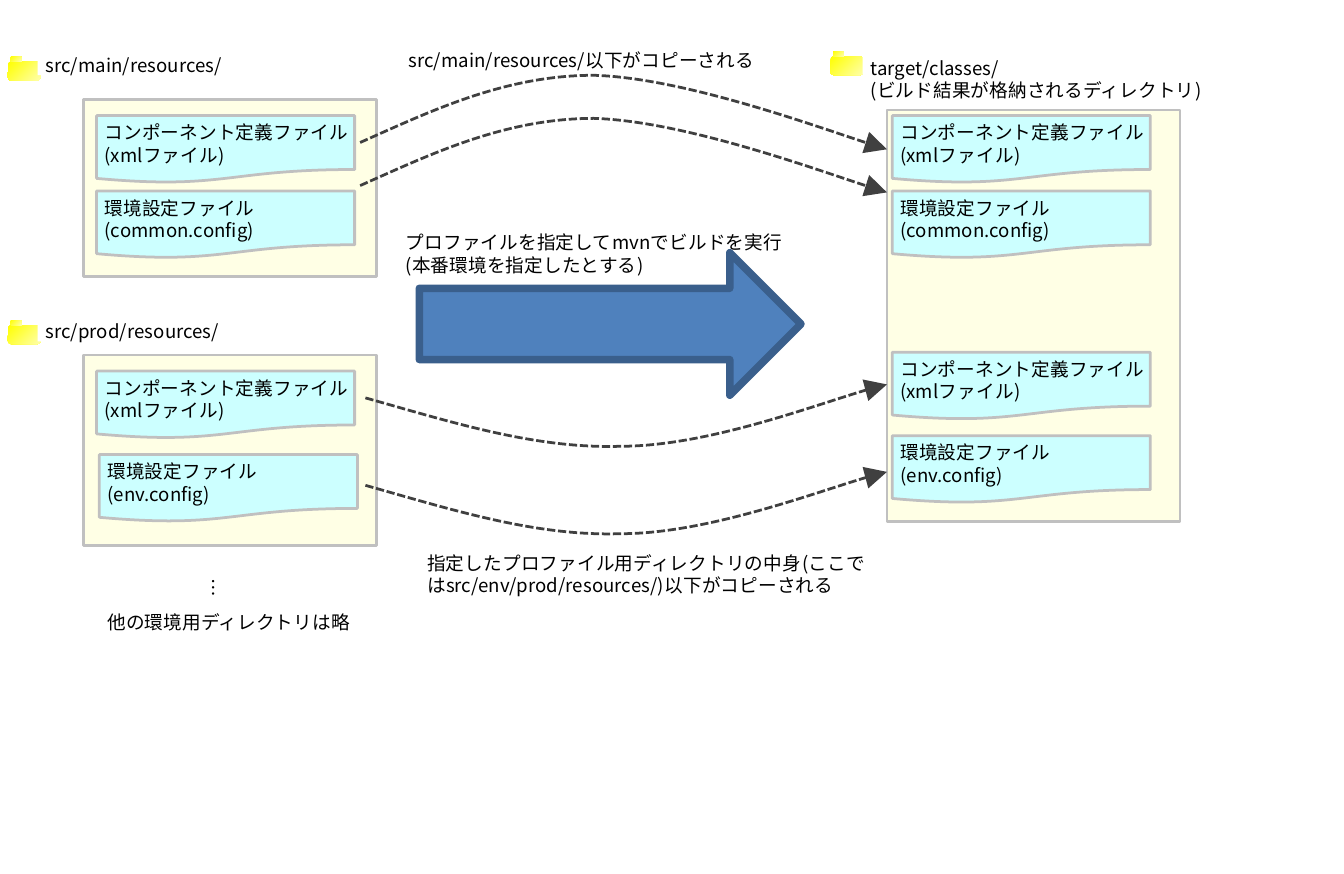
import dataclasses

import pptx
import pptx.util
from lxml import etree
from pptx.dml.color import RGBColor
from pptx.enum.dml import MSO_LINE
from pptx.enum.shapes import MSO_SHAPE
from pptx.enum.text import MSO_ANCHOR, PP_ALIGN
from pptx.oxml.ns import qn

COLUMNS, ROWS = 500, 325  # grid of the slide, 100 cells to the inch


@dataclasses.dataclass(frozen=True)
class Theme:
    font: str = "Noto Sans CJK JP"
    text_size: float = 5
    line_pitch: float = 6
    thin: float = 0.75
    thick: float = 2
    ink: str = "000000"
    paper: str = "FFFFFF"
    directory: str = "FFFFE5"
    document: str = "CCFFFF"
    border: str = "C0C0C0"
    build: str = "4F81BD"
    build_border: str = "3A5F8C"
    copy_line: str = "404040"
    folder: tuple = ("FFFF00", "FFFFA9")


class Diagram:
    def __init__(self, deck, page, theme):
        self.page, self.theme = page, theme
        self.cell_width = deck.slide_width / COLUMNS
        self.cell_height = deck.slide_height / ROWS

    def place(self, column, row):
        return round(column * self.cell_width), round(row * self.cell_height)

    def shape(self, kind, area, fill=None, border=None, weight=None):
        shape = self.page.shapes.add_shape(kind, *self.place(*area[:2]), *self.place(*area[2:]))
        shape.shadow.inherit = False
        if fill:
            shape.fill.solid()
            shape.fill.fore_color.rgb = RGBColor.from_string(fill)
        if border:
            shape.line.color.rgb = RGBColor.from_string(border)
            shape.line.width = pptx.util.Pt(weight or self.theme.thin)
        else:
            shape.line.fill.background()
        return shape

    def add_lines(self, box, lines, right_inset=3):
        frame = box.text_frame
        frame.word_wrap = True
        frame.vertical_anchor = MSO_ANCHOR.TOP
        frame.margin_left, frame.margin_top = self.place(3, 2)
        frame.margin_right, frame.margin_bottom = self.place(right_inset, 0)
        for index, line in enumerate(lines):
            para = frame.add_paragraph() if index else frame.paragraphs[0]
            para.alignment = PP_ALIGN.LEFT
            para.line_spacing = pptx.util.Pt(self.theme.line_pitch)
            span = para.add_run()
            span.text = line
            span.font.name = self.theme.font
            span.font.size = pptx.util.Pt(self.theme.text_size)
            span.font.color.rgb = RGBColor.from_string(self.theme.ink)
            east_asian = etree.SubElement(span.font._element, qn("a:ea"))
            east_asian.set("typeface", self.theme.font)

    def label(self, area, *lines, vertical=False):
        box = self.shape(MSO_SHAPE.RECTANGLE, area, self.theme.paper)
        self.add_lines(box, lines)
        if vertical:
            box.text_frame._txBody.bodyPr.set("vert", "eaVert")

    def note(self, area, *lines):
        box = self.page.shapes.add_textbox(*self.place(*area[:2]), *self.place(*area[2:]))
        self.add_lines(box, lines)

    def folder(self, column, row):
        for area in ((column, row + 2, 12, 7), (column + 1, row, 4, 2)):
            part = self.shape(MSO_SHAPE.ROUNDED_RECTANGLE, area)
            part.fill.gradient()
            part.fill.gradient_angle = 315
            for stop, color in zip(part.fill.gradient_stops, self.theme.folder):
                stop.color.rgb = RGBColor.from_string(color)
            part.fill.gradient_stops[0].position = 0
            part.fill.gradient_stops[1].position = 1

    def directory(self, column, row, height):
        self.shape(MSO_SHAPE.RECTANGLE, (column, row, 109, height),
                   self.theme.directory, self.theme.border)

    def document(self, column, row, lines):
        box = self.shape(MSO_SHAPE.FLOWCHART_DOCUMENT, (column, row, 96, 25),
                         self.theme.document, self.theme.border)
        self.add_lines(box, lines, right_inset=0)

    def build_arrow(self, area):
        self.shape(MSO_SHAPE.RIGHT_ARROW, area, self.theme.build,
                   self.theme.build_border, self.theme.thick)

    def copy_arrow(self, points, drop=0):
        """Draw a dashed curve from a start point and triples of Bezier points."""
        start, *rest = [self.place(column, row + drop) for column, row in points]
        builder = self.page.shapes.build_freeform(*start)
        builder.add_line_segments(rest, close=False)
        curve = builder.convert_to_shape()
        curve.shadow.inherit = False
        curve.fill.background()
        curve.line.color.rgb = RGBColor.from_string(self.theme.copy_line)
        curve.line.width = pptx.util.Pt(self.theme.thin)
        curve.line.dash_style = MSO_LINE.SQUARE_DOT
        etree.SubElement(curve.line._ln, qn("a:tailEnd")).set("type", "triangle")
        # Turn each three straight segments into one cubic segment
        segments = list(curve._element.iter(qn("a:lnTo")))
        for first in range(0, len(segments), 3):
            cubic = etree.Element(qn("a:cubicBezTo"))
            segments[first].addprevious(cubic)
            for segment in segments[first:first + 3]:
                cubic.append(segment[0])
                segment.getparent().remove(segment)


COMPONENT = ("コンポーネント定義ファイル", "(xmlファイル)")
COMMON = ("環境設定ファイル", "(common.config)")
ENVIRONMENT = ("環境設定ファイル", "(env.config)")
MAIN_CURVE = ((134, 53), (161, 41), (188, 28), (221, 28),
              (254, 29), (315, 51), (330, 55.5))
PROFILE_CURVE = ((136, 148), (168, 157), (199, 167), (231, 166),
                 (263, 166), (316, 146), (330, 143))


def main():
    deck = pptx.Presentation()
    deck.slide_width = pptx.util.Inches(5)
    deck.slide_height = pptx.util.Inches(3.25)
    page = deck.slides.add_slide(deck.slide_layouts[6])
    diagram = Diagram(deck, page, Theme())

    # Folder icons and directory names
    for column, row in ((3, 21), (3, 119), (309, 19)):
        diagram.folder(column, row)
    diagram.label((14, 18, 86, 10), "src/main/resources/")
    diagram.label((14, 117, 86, 10), "src/prod/resources/")
    diagram.label((321, 19, 150, 18), "target/classes/", "(ビルド結果が格納されるディレクトリ)")

    # Directories and the files in them
    for column, row, height in ((31, 37, 66), (31, 132, 71), (330, 41, 153)):
        diagram.directory(column, row, height)
    for column, row, lines in (
        (36, 43, COMPONENT), (36, 71, COMMON),
        (36, 138, COMPONENT), (37, 169, ENVIRONMENT),
        (332, 43, COMPONENT), (332, 71, COMMON),
        (332, 131, COMPONENT), (332, 162, ENVIRONMENT),
    ):
        diagram.document(column, row, lines)

    # Other environments left out
    diagram.label((74, 213, 13, 10), "…", vertical=True)
    diagram.label((37, 225, 102, 16), "他の環境用ディレクトリは略")

    # Build step
    diagram.build_arrow((156, 94, 142, 53))
    diagram.note((148, 84, 151, 26), "プロファイルを指定してmvnでビルドを実行",
                 "(本番環境を指定したとする)")

    # Copied files
    for curve, gap in ((MAIN_CURVE, 16), (PROFILE_CURVE, 32.5)):
        for drop in (0, gap):
            diagram.copy_arrow(curve, drop)
    diagram.note((149, 16, 151, 13), "src/main/resources/以下がコピーされる")
    diagram.note((156, 203, 175, 22),
                 "指定したプロファイル用ディレクトリの中身(ここではsrc/env/prod/resources/)以下がコピーされる")

    deck.save("out.pptx")


if __name__ == "__main__":
    main()
